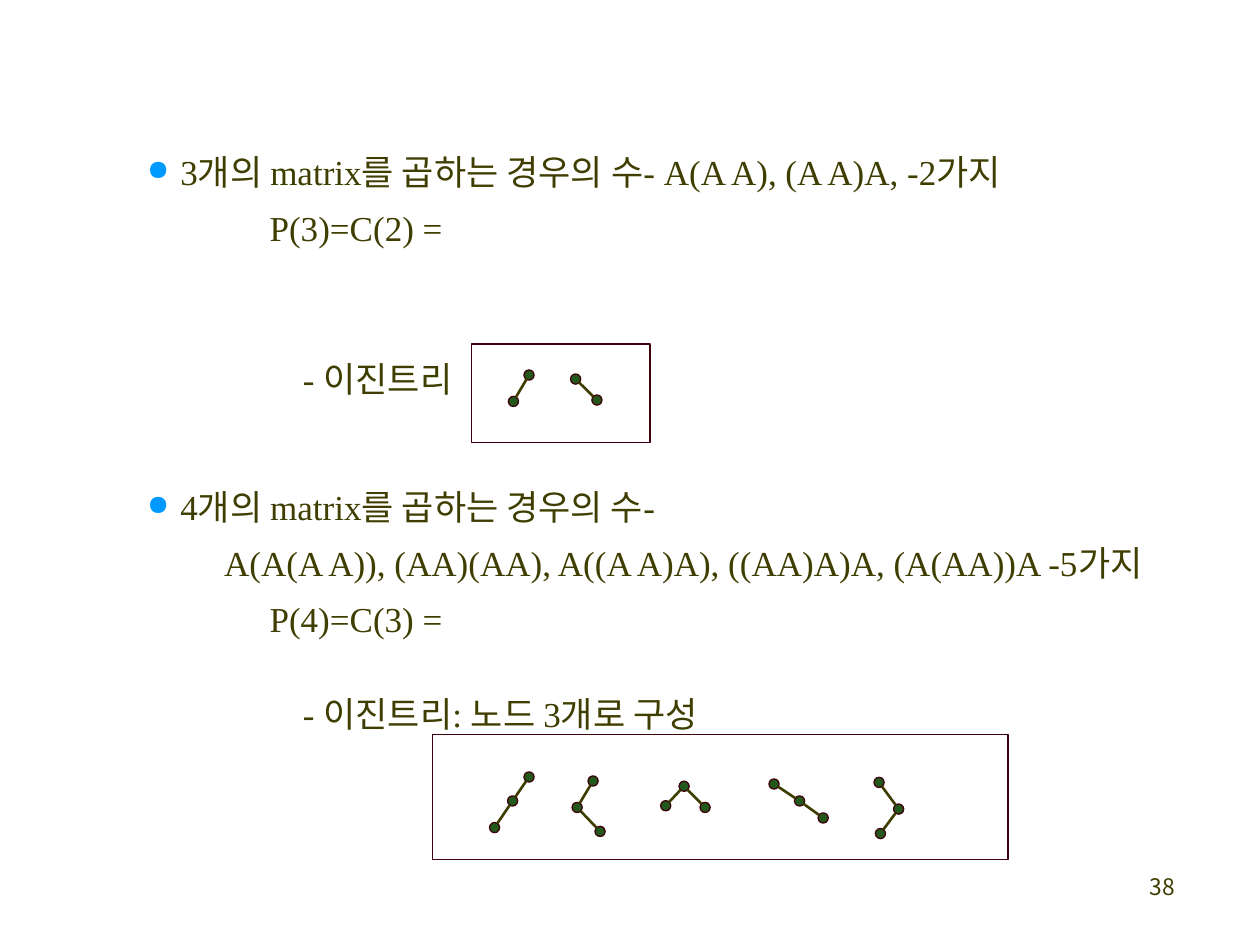
from itertools import pairwise
from math import hypot

from lxml import etree
from pptx import Presentation
from pptx.dml.color import RGBColor
from pptx.enum.shapes import MSO_CONNECTOR, MSO_SHAPE
from pptx.enum.text import PP_ALIGN
from pptx.oxml.ns import qn
from pptx.util import Pt

OVAL, RECTANGLE = MSO_SHAPE.OVAL, MSO_SHAPE.RECTANGLE
STRAIGHT = MSO_CONNECTOR.STRAIGHT
LEFT, RIGHT = PP_ALIGN.LEFT, PP_ALIGN.RIGHT

COLORS = {"ink": "3F3E00", "bullet": "0099FF", "node": "22581C", "outline": "3E020C"}
SERIF, SANS = "Times New Roman", "Noto Sans CJK KR"
NODE_SIZE = 5.8

BULLET, EXPRESSION, FORMULA, DASH = (19, -19), (44, 0), (70, 0), (14, -3.5)

TEXTS = [
    ((77, 78.5, 566, 68.4), [
        ("3개의 matrix를 곱하는 경우의 수- A(A A), (A A)A, -2가지", BULLET),
        ("P(3)=C(2) =", FORMULA)]),
    ((155.5, 196.6, 122.4, 33), [("- 이진트리", DASH)]),
    ((77, 270, 621, 101.5), [
        ("4개의 matrix를 곱하는 경우의 수-", BULLET),
        ("A(A(A A)), (AA)(AA), A((A A)A), ((AA)A)A, (A(AA))A -5가지", EXPRESSION),
        ("P(4)=C(3) =", FORMULA)]),
    ((155.5, 388, 270, 35), [("- 이진트리: 노드 3개로 구성", DASH)]),
]

TREES = [
    [(302.3, 214.3), (293.4, 229.4)],
    [(328.9, 216.6), (341.1, 228.6)],
    [(302.3, 444), (292.9, 457.7), (282.6, 472.9)],
    [(338.9, 446.3), (329.8, 461.4), (342.9, 475.1)],
    [(380.4, 460.4), (390.9, 449.3), (402.9, 461.4)],
    [(442.3, 448), (456.9, 457.7), (470.4, 467.4)],
    [(502.3, 447.1), (513.5, 462.3), (503.1, 476.3)],
]

FRAMES = [(269.3, 196.6, 102.2, 56.2), (247, 419.8, 329, 71.3)]


class SlideBuilder:
    """Draws styled text, binary trees and frames on one slide."""

    def __init__(self, slide):
        self.slide = slide

    def color(self, name):
        return RGBColor.from_string(COLORS[name])

    def text(self, box, lines, font=SERIF, size=20, spacing=28, align=LEFT):
        frame = self.slide.shapes.add_textbox(*map(Pt, box)).text_frame
        frame.word_wrap = True
        for index, (text, indent) in enumerate(lines):
            paragraph = frame.paragraphs[0] if index == 0 else frame.add_paragraph()
            paragraph.text = text
            paragraph.alignment = align
            if spacing:
                paragraph.line_spacing = Pt(spacing)
            paragraph.space_before = Pt(4 if index else 0)
            self.indent(paragraph, indent)
            paragraph.font.name = font
            paragraph.font.size = Pt(size)
            paragraph.font.color.rgb = self.color("ink")

    def indent(self, paragraph, indent):
        properties = paragraph._p.get_or_add_pPr()
        margin, first_line = indent
        properties.set("marL", str(Pt(margin)))
        properties.set("indent", str(Pt(first_line)))
        if indent == BULLET:
            bullet_color = etree.SubElement(properties, qn("a:buClr"))
            etree.SubElement(bullet_color, qn("a:srgbClr"), val=COLORS["bullet"])
            etree.SubElement(properties, qn("a:buSzPct"), val="80000")
            etree.SubElement(properties, qn("a:buChar"), char="●")

    def shape(self, kind, box, fill=None):
        shape = self.slide.shapes.add_shape(kind, *map(Pt, box))
        shape.shadow.inherit = False
        if fill:
            shape.fill.solid()
            shape.fill.fore_color.rgb = self.color(fill)
        else:
            shape.fill.background()
        shape.line.color.rgb = self.color("outline")
        shape.line.width = Pt(0.75)

    def edge(self, start, end):
        (x1, y1), (x2, y2) = start, end
        trim = NODE_SIZE / 2 / hypot(x2 - x1, y2 - y1)
        dx, dy = (x2 - x1) * trim, (y2 - y1) * trim
        points = (x1 + dx, y1 + dy, x2 - dx, y2 - dy)
        connector = self.slide.shapes.add_connector(STRAIGHT, *map(Pt, points))
        connector.line.color.rgb = self.color("ink")
        connector.line.width = Pt(1.5)
        etree.SubElement(connector._element.spPr, qn("a:effectLst"))

    def tree(self, centers):
        for x, y in centers:
            box = (x - NODE_SIZE / 2, y - NODE_SIZE / 2, NODE_SIZE, NODE_SIZE)
            self.shape(OVAL, box, "node")
        for start, end in pairwise(centers):
            self.edge(start, end)


def main():
    presentation = Presentation()
    presentation.slide_width, presentation.slide_height = Pt(720), Pt(540)
    builder = SlideBuilder(presentation.slides.add_slide(presentation.slide_layouts[6]))
    builder.text((528.5, 495.4, 149.8, 36), [("38", (0, 0))], SANS, 13, None, RIGHT)
    for box, lines in TEXTS:
        builder.text(box, lines)
    for centers in TREES:
        builder.tree(centers)
    for box in FRAMES:
        builder.shape(RECTANGLE, box)
    presentation.save("out.pptx")


if __name__ == "__main__":
    main()
